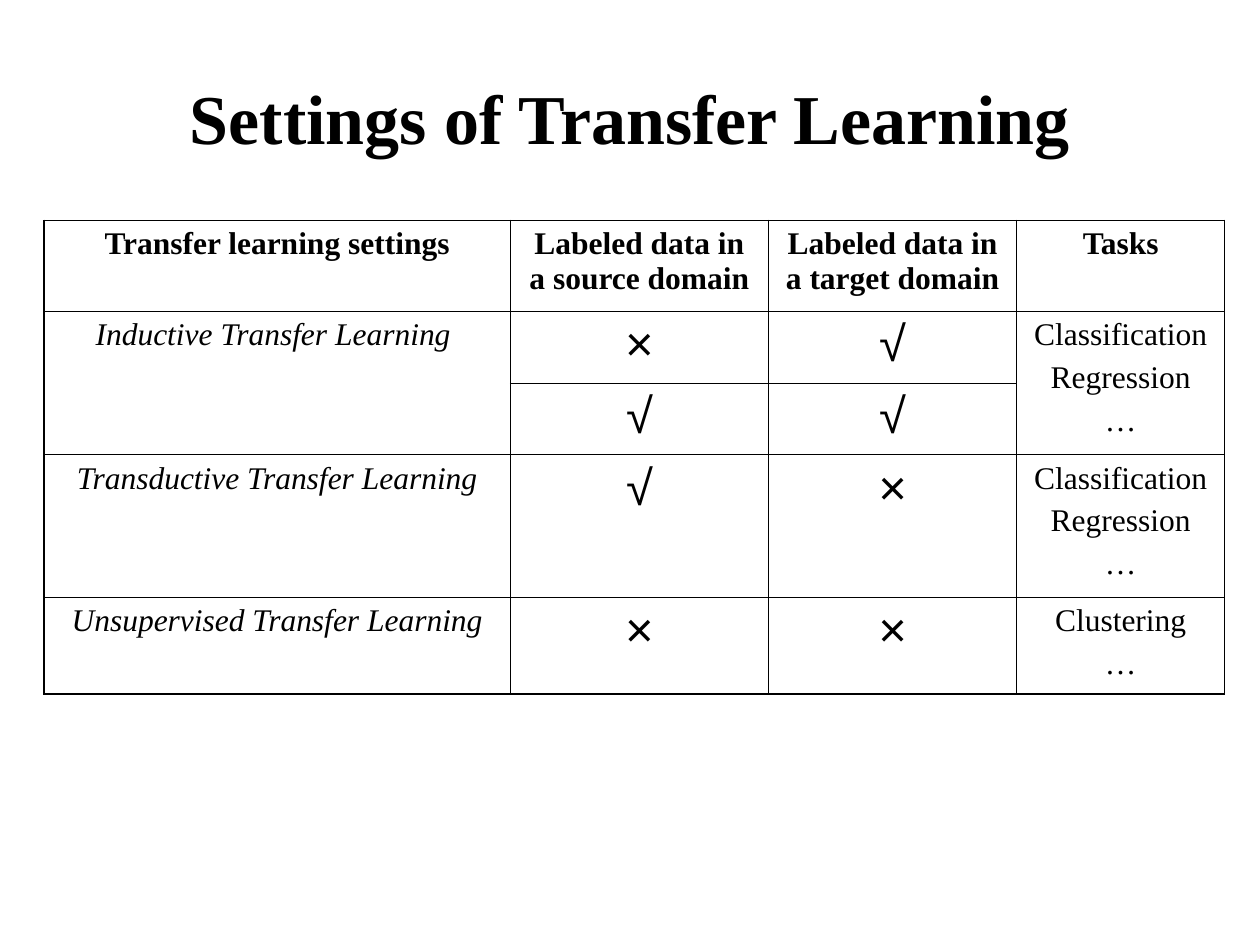
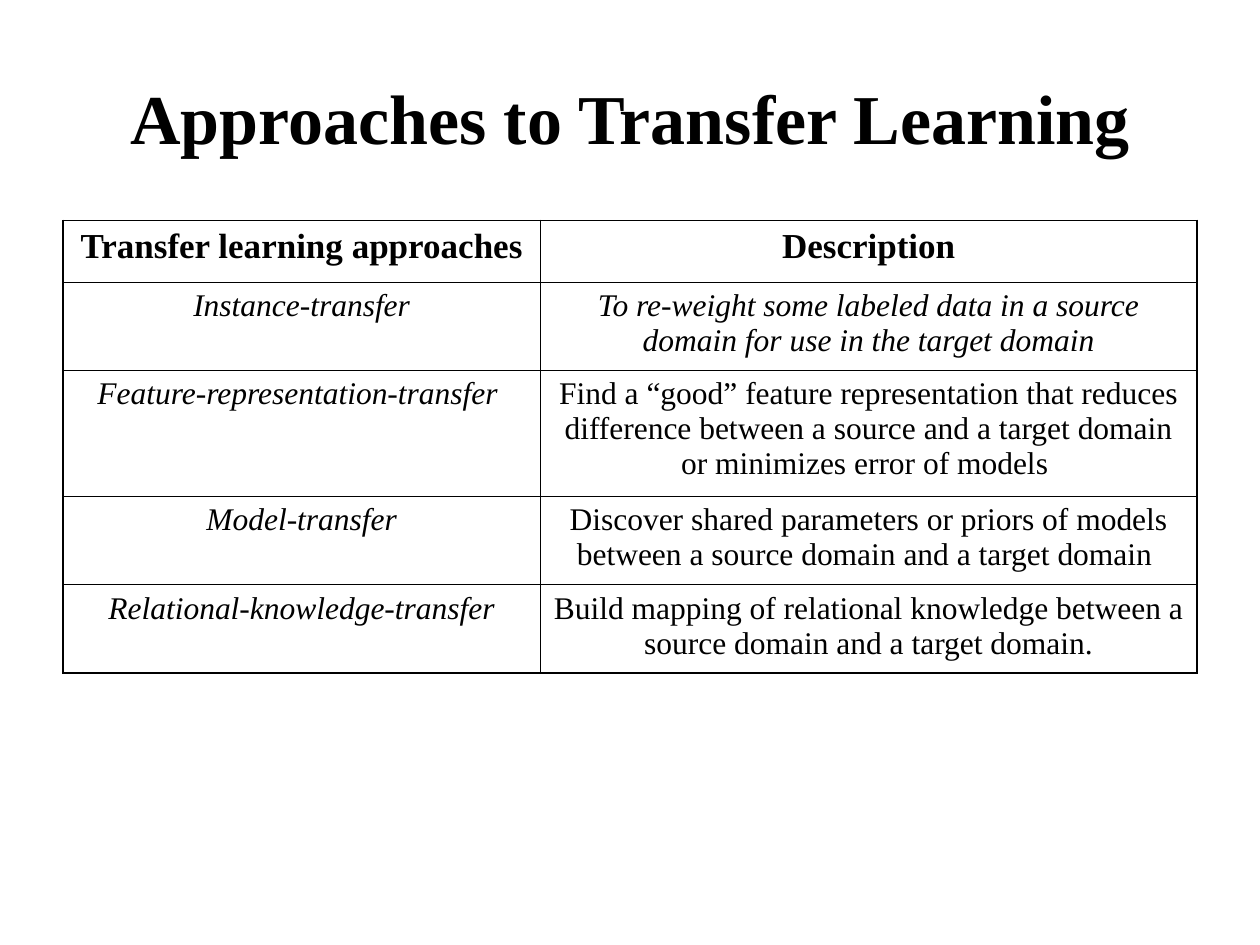
import pptx
import pptx.dml.color
import pptx.enum.text
import pptx.oxml.ns
import pptx.util
from lxml import etree

Inches = pptx.util.Inches
Pt = pptx.util.Pt
CENTER = pptx.enum.text.PP_ALIGN.CENTER
MIDDLE = pptx.enum.text.MSO_ANCHOR.MIDDLE

COLORS = {"ink": "000000", "paper": "FFFFFF"}
SERIF, SANS = "Times New Roman", "Arial"
MARKS = ("×", "√")
OUTER, INNER = 1.08, 0.45
TABLE_TOP = 1.75

SLIDES = [
    {
        "title": "Settings of Transfer Learning",
        "left": 0.35,
        "widths": [3.7, 2.05, 1.97, 1.65],
        "heights": [0.72, 0.57, 0.57, 1.13, 0.77],
        "header_size": 18,
        "merges": [((1, 0), (2, 0)), ((1, 3), (2, 3))],
        "italic_descriptions": [],
        "rows": [
            ["Transfer learning settings", "Labeled data in a source domain",
             "Labeled data in a target domain", "Tasks"],
            ["Inductive Transfer Learning ", "×", "√", "Classification\nRegression\n…"],
            [None, "√", "√", None],
            ["Transductive Transfer Learning", "√", "×", "Classification\nRegression\n…"],
            ["Unsupervised Transfer Learning", "×", "×", "Clustering\n…"],
        ],
    },
    {
        "title": "Approaches to Transfer Learning",
        "left": 0.5,
        "widths": [3.79, 5.21],
        "heights": [0.49, 0.7, 1, 0.7, 0.7],
        "header_size": 20,
        "merges": [],
        "italic_descriptions": [(1, 1)],
        "rows": [
            ["Transfer learning approaches", "Description"],
            ["Instance-transfer",
             "To re-weight some labeled data in a source domain for use in the target domain"],
            ["Feature-representation-transfer ",
             "Find a “good” feature representation that reduces difference between "
             "a source and a target domain or minimizes error of models "],
            ["Model-transfer",
             "Discover shared parameters or priors of models between a source domain "
             "and a target domain "],
            ["Relational-knowledge-transfer",
             "Build mapping of relational knowledge between a source domain and a target domain."],
        ],
    },
]


def rgb(name):
    return pptx.dml.color.RGBColor.from_string(COLORS[name])


def write(frame, text, size, face=SERIF, bold=False, italic=False):
    frame.text = text
    frame.word_wrap = True
    for index, paragraph in enumerate(frame.paragraphs):
        paragraph.alignment = CENTER
        if index:
            paragraph.space_before = Pt(size / 4)
        font = paragraph.font
        font.name, font.size, font.bold, font.italic = face, Pt(size), bold, italic
        font.color.rgb = rgb("ink")


def draw_borders(cell, on_edge):
    properties = cell._tc.get_or_add_tcPr()
    qn = pptx.oxml.ns.qn
    for side in "LRTB":
        width = Pt(OUTER if on_edge[side] else INNER)
        line = etree.SubElement(properties, qn(f"a:ln{side}"), w=str(int(width)))
        fill = etree.SubElement(line, qn("a:solidFill"))
        etree.SubElement(fill, qn("a:srgbClr"), val=COLORS["ink"])


def add_title(slide, title):
    heading = slide.shapes.add_textbox(Inches(0.5), Inches(0.3), Inches(9), Inches(1.25))
    heading.text_frame.vertical_anchor = MIDDLE
    write(heading.text_frame, title, 40, bold=True)


def add_grid(slide, content):
    rows, widths, heights = content["rows"], content["widths"], content["heights"]
    grid = slide.shapes.add_table(
        len(rows), len(widths), Inches(content["left"]), Inches(TABLE_TOP),
        Inches(sum(widths)), Inches(sum(heights))).table
    grid.first_row = grid.horz_banding = False
    for column, width in zip(grid.columns, widths):
        column.width = Inches(width)
    for row, height in zip(grid.rows, heights):
        row.height = Inches(height)
    for r, texts in enumerate(rows):
        for c, text in enumerate(texts):
            cell = grid.cell(r, c)
            draw_borders(cell, {"L": c == 0, "R": c == len(widths) - 1,
                                "T": r == 0, "B": r == len(rows) - 1})
            cell.fill.background()
            if text is None:
                continue
            if text in MARKS:
                write(cell.text_frame, text, 28, SANS)
            elif r == 0:
                write(cell.text_frame, text, content["header_size"], bold=True)
            else:
                italic = c == 0 or (r, c) in content["italic_descriptions"]
                write(cell.text_frame, text, 18, italic=italic)
    for first, last in content["merges"]:
        grid.cell(*first).merge(grid.cell(*last))


def main():
    deck = pptx.Presentation()
    deck.slide_width, deck.slide_height = Inches(10), Inches(7.5)
    for content in SLIDES:
        slide = deck.slides.add_slide(deck.slide_layouts[6])
        slide.background.fill.solid()
        slide.background.fill.fore_color.rgb = rgb("paper")
        add_title(slide, content["title"])
        add_grid(slide, content)
    deck.save("out.pptx")


if __name__ == "__main__":
    main()
